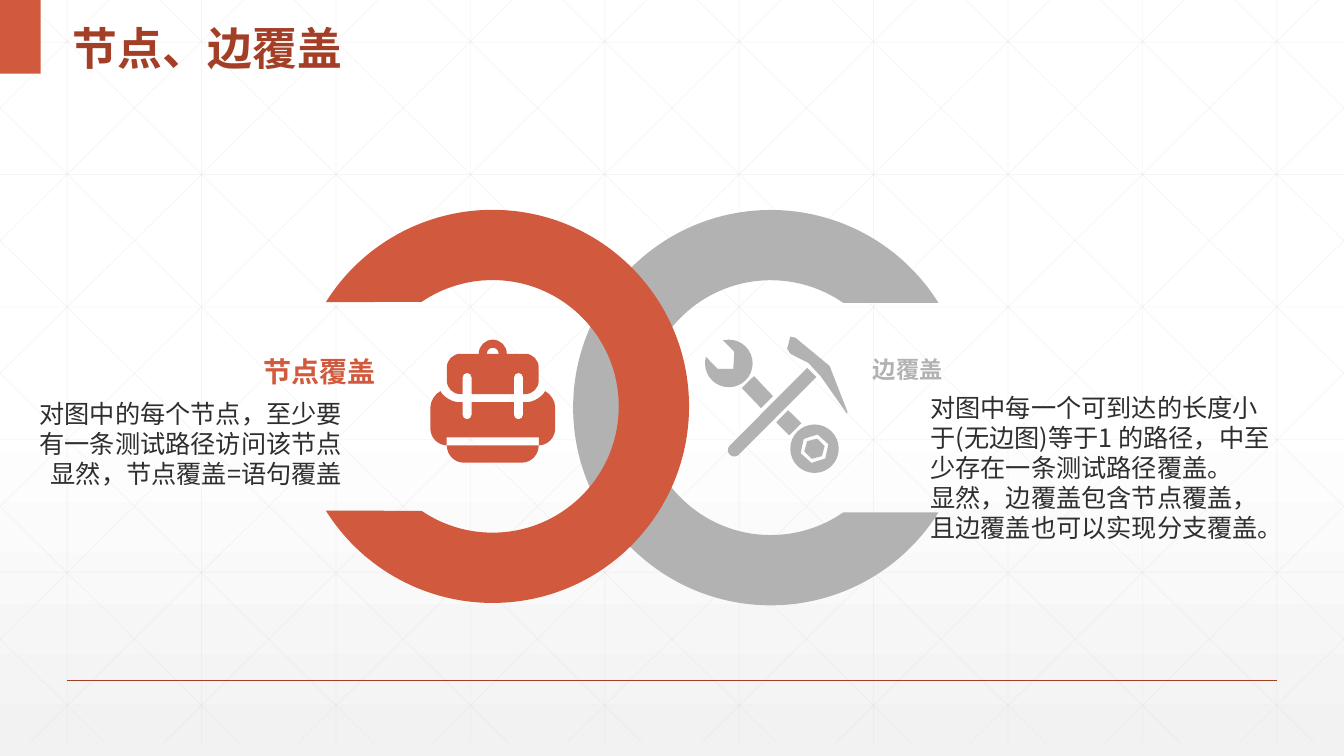
from math import ceil, cos, dist, floor, radians, sin, tan

from lxml import etree
from pptx import Presentation
from pptx.dml.color import RGBColor
from pptx.enum.shapes import MSO_CONNECTOR, MSO_SHAPE
from pptx.enum.text import MSO_ANCHOR, PP_ALIGN
from pptx.oxml.ns import qn
from pptx.util import Pt

LINE = MSO_CONNECTOR.STRAIGHT
RECT = MSO_SHAPE.RECTANGLE
TOP, MID = MSO_ANCHOR.TOP, MSO_ANCHOR.MIDDLE
LEFT, RIGHT = PP_ALIGN.LEFT, PP_ALIGN.RIGHT
WIDE, HIGH = 960, 540
RUST, BRICK, GREY, INK, MESH = "D15A3E", "A43F27", "B2B2B2", "2D2E2D", "D9D9D9"
HAN = "Noto Sans CJK SC"


def color(code):
    return RGBColor.from_string(code)


def toward(start, end, part):
    return tuple(a + (b - a) * part for a, b in zip(start, end))


def arc(x, y, r, start, end):
    low, high = sorted((start, end))
    turns = [low, *range(90 * floor(low / 90 + 1), 90 * ceil(high / 90), 90), high]
    if start > end:
        turns.reverse()
    spots = [(cos(radians(t)), sin(radians(t))) for t in turns]
    steps = [[(x + r * spots[0][0], y + r * spots[0][1])]]
    for i in range(1, len(turns)):
        pull = 4 / 3 * tan(radians(turns[i] - turns[i - 1]) / 4)
        (ax, ay), (bx, by) = spots[i - 1:i + 1]
        steps.append([(x + r * (ax - pull * ay), y + r * (ay + pull * ax)),
                      (x + r * (bx + pull * by), y + r * (by - pull * bx)),
                      (x + r * bx, y + r * by)])
    return steps


def poly(*points):
    return [[point] for point in points]


def hexa(x, y, r, turn):
    turns = [radians(turn + 60 * i) for i in range(6)]
    return poly(*[(x + r * cos(t), y + r * sin(t)) for t in turns])


def soft(corners):
    steps = []
    for i, (x, y, r) in enumerate(corners):
        tip = (x, y)
        if not r:
            steps.append([tip])
            continue
        start, end = [toward(tip, near[:2], r / dist(tip, near[:2]))
                      for near in (corners[i - 1], corners[(i + 1) % len(corners)])]
        steps += [[start], [toward(start, tip, 0.55), toward(end, tip, 0.55), end]]
    return steps


def mirror(half, axis):
    right = [(axis + x, y, r) for x, y, r in half]
    left = [(axis - x, y, r) for x, y, r in reversed(half)]
    return soft(right + left)


class Deck:
    def __init__(self):
        self.show = Presentation()
        self.show.slide_width, self.show.slide_height = Pt(WIDE), Pt(HIGH)
        self.slide = self.show.slides.add_slide(self.show.slide_layouts[6])
        self.shapes = self.slide.shapes

    def shade(self, stops):
        fill = self.slide.background.fill
        fill.gradient()
        fill.gradient_angle = 270
        for stop, (place, code) in zip(fill.gradient_stops, stops):
            stop.position = place
            stop.color.rgb = color(code)

    def line(self, x1, y1, x2, y2, code, width, alpha=100):
        line = self.shapes.add_connector(LINE, Pt(x1), Pt(y1), Pt(x2), Pt(y2))
        line.line.color.rgb = color(code)
        line.line.width = Pt(width)
        props = line._element.spPr
        if alpha < 100:
            tone = props.find(".//" + qn("a:srgbClr"))
            etree.SubElement(tone, qn("a:alpha")).set("val", str(alpha * 1000))
        etree.SubElement(props, qn("a:effectLst"))

    def paint(self, shape, code):
        shape.shadow.inherit = False
        shape.fill.solid()
        shape.fill.fore_color.rgb = color(code)
        shape.line.fill.background()

    def rect(self, x, y, w, h, code):
        self.paint(self.shapes.add_shape(RECT, Pt(x), Pt(y), Pt(w), Pt(h)), code)

    def free(self, parts, code):
        pen = None
        sizes = []
        for part in parts:
            first, *rest = [(Pt(x), Pt(y)) for step in part for x, y in step]
            if pen is None:
                pen = self.shapes.build_freeform(*first, scale=1.0)
            else:
                pen.move_to(*first)
            pen.add_line_segments(rest, close=True)
            sizes += [len(step) for step in part[1:]]
        shape = pen.convert_to_shape()
        self.bend(shape, sizes)
        self.paint(shape, code)

    def bend(self, shape, sizes):
        legs = iter(list(shape._element.iter(qn("a:lnTo"))))
        for size in sizes:
            leg = next(legs)
            if size == 3:
                leg.tag = qn("a:cubicBezTo")
                for more in (next(legs), next(legs)):
                    leg.append(more[0])
                    more.getparent().remove(more)

    def ring(self, x, y, outer, inner, big, small, turn, code):
        edge = arc(x, y, outer, turn + big, turn + 360 - big)
        hole = arc(x, y, inner, turn + 360 - small, turn + small)
        self.free([edge + hole], code)

    def text(self, x, y, w, h, lines, size, code, face=HAN, bold=False,
             align=LEFT, anchor=TOP, space=None, pad=5.76, edge=0):
        frame = self.shapes.add_textbox(Pt(x), Pt(y), Pt(w), Pt(h)).text_frame
        frame.word_wrap = True
        frame.vertical_anchor = anchor
        frame.margin_left = frame.margin_right = Pt(pad)
        frame.margin_top = frame.margin_bottom = Pt(edge)
        for i, words in enumerate(lines):
            para = frame.paragraphs[0] if i == 0 else frame.add_paragraph()
            para.alignment = align
            para.line_spacing = space or Pt(round(size * 1.19, 1))
            run = para.add_run()
            run.text = words
            font = run.font
            font.size, font.bold, font.name = Pt(size), bold, face
            font.color.rgb = color(code)
            etree.SubElement(run._r.rPr, qn("a:ea")).set("typeface", HAN)

    def grid(self):
        low, slope = 530.6, 0.988
        for i in range(10):
            x = 48 + 96 * i
            self.line(x, 0, x, low, MESH, 0.5, 25)
        for i in range(6):
            y = 30 + 94.7 * i
            self.line(0, y, WIDE, y, MESH, 0.5, 25)
        for i in range(-5, 10):
            x = 18 + 96 * i
            x1, x2 = max(x, 0), min(x + low / slope, WIDE)
            y1, y2 = (x1 - x) * slope, (x2 - x) * slope
            self.line(x1, y1, x2, y2, MESH, 0.5, 25)
            self.line(WIDE - x1, y1, WIDE - x2, y2, MESH, 0.5, 25)

    def tools(self):
        nut = (581.8, 320.5)
        neck = poly((563, 293), (572.4, 302.4), (563.8, 311), (554.4, 301.7))
        shaft = poly((538.6, 268.6), (552.2, 283), (543.6, 291.6), (529.9, 277.2))
        grip = soft([(576.7, 262.8, 0), (583.2, 269.3, 0),
                     (524.5, 328, 4.6), (518, 321.5, 4.6)])
        jaw = arc(520.6, 259.6, 17, -104, 196)
        jaw += poly((512.6, 263.5), (523.8, 263.5), (524.5, 251.3))
        pick = poly((564.5, 240.5), (568.1, 241.2), (592.6, 261.4), (605.5, 294.5),
                    (604.8, 295.2), (586.1, 268.6), (577.4, 259.2), (564.5, 252.7),
                    (562.3, 249.1))
        self.free([arc(*nut, 17.3, 0, 360), hexa(*nut, 10.4, -78),
                   hexa(*nut, 7.5, -75), neck, shaft, grip, jaw, pick], GREY)

    def pack(self):
        base = [(32.8, 318.2, 0), (32.8, 330.5, 12.2)]
        body = [(15.1, 287.3, 0), (15.1, 299.5, 3.2), (21.6, 299.5, 3.2),
                (21.6, 287.3, 0), (33, 287.3, 9), (37.4, 279.4, 0), (44.6, 283, 8),
                (44.6, 318.2, 12.2), (33, 318.2, 0), (33, 312.5, 0)]
        flap = [(15.1, 281.5, 0), (15.1, 266.4, 3.2), (21.6, 266.4, 3.2),
                (21.6, 281.5, 0), (32.8, 281.5, 9.5), (32.8, 252.7, 9.7),
                (10, 252.7, 0), (10, 242.6, 10)]
        loop = [(4.2, 252.7, 0), (4.2, 248.4, 4.2)]
        self.free([mirror(half, 352) for half in (base, body, flap, loop)], RUST)


def main():
    deck = Deck()
    deck.shade([(0.53, "FFFFFF"), (1, "F2F2F2")])
    deck.grid()
    deck.line(48, 486, 912, 486, BRICK, 1)
    deck.rect(0, 0, 29, 52.6, RUST)
    deck.text(45, 1.6, 409.7, 52.6, ["节点、边覆盖"], 32, BRICK, bold=True,
              anchor=MID, space=1.3, pad=7.2, edge=3.6)
    deck.ring(550.6, 291.2, 141.2, 91, 32, 55.4, 0, GREY)
    deck.tools()
    deck.text(658.8, 257, 261.4, 153.4,
              ["对图中每一个可到达的长度小于(无边图)等于1 的路径，中至少存在一条测试路径覆盖。",
               "显然，边覆盖包含节点覆盖，且边覆盖也可以实现分支覆盖。"],
              18, INK, anchor=MID)
    deck.text(617.8, 253.8, 290.9, 19.4, ["边覆盖"], 16.6, GREY, "Arial", True)
    deck.ring(351.8, 290.3, 140.4, 90.2, 32, 55.9, 180, RUST)
    deck.pack()
    deck.text(5.8, 273.2, 244.1, 87.1,
              ["对图中的每个节点，至少要有一条测试路径访问该节点", "显然，节点覆盖=语句覆盖"],
              18, INK, align=RIGHT, anchor=MID)
    deck.text(73.4, 253.4, 200.8, 20.2, ["节点覆盖"], 20, RUST, "Arial", True, RIGHT)
    deck.show.save("out.pptx")


if __name__ == "__main__":
    main()
